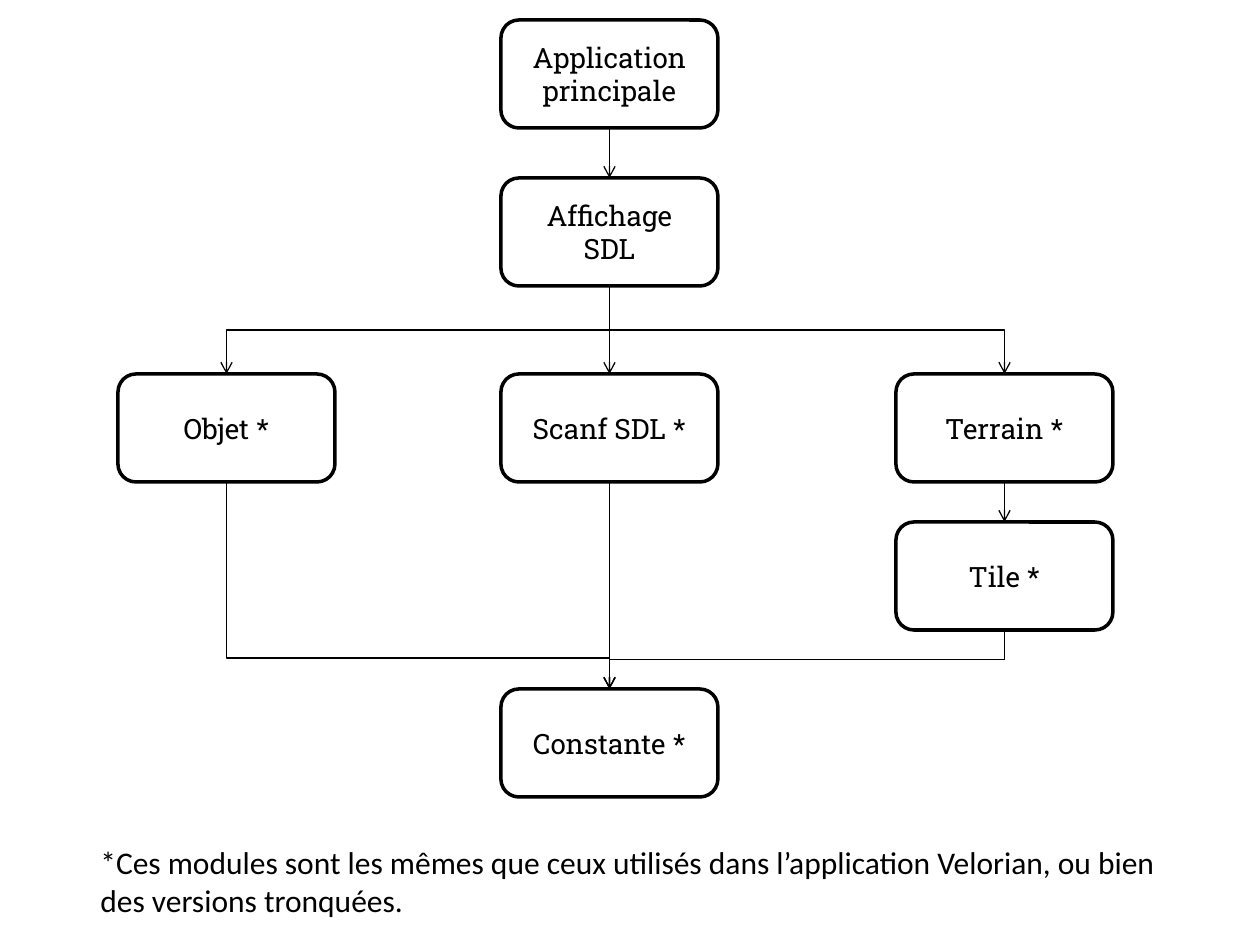
"""Builds a slide with the module dependency chart of an application."""
import pptx
import pptx.util
import pptx.dml.color
import pptx.enum.shapes
import pptx.enum.text
import pptx.oxml

PX = 914400 // 126
BLACK = pptx.dml.color.RGBColor(0, 0, 0)
WHITE = pptx.dml.color.RGBColor(255, 255, 255)
WIDE, HIGH = 217, 108
LEFT, MID, RIGHT = 118, 501, 896
TOP, BOTTOM = 0, 2
NS = 'xmlns:a="http://schemas.openxmlformats.org/drawingml/2006/main"'
ALIGN = pptx.enum.text.PP_ALIGN
LINK = pptx.enum.shapes.MSO_CONNECTOR

deck = pptx.Presentation()
deck.slide_width = pptx.util.Inches(10)
deck.slide_height = pptx.util.Inches(7.5)
slide = deck.slides.add_slide(deck.slide_layouts[6])


def write(frame, text, font="Calibri", size=18, align=ALIGN.LEFT,
          anchor=pptx.enum.text.MSO_ANCHOR.TOP):
    frame.word_wrap = True
    frame.vertical_anchor = anchor
    para = frame.paragraphs[0]
    para.alignment = align
    run = para.add_run()
    run.text = text
    run.font.name = font
    run.font.size = pptx.util.Pt(size)
    run.font.color.rgb = BLACK


def join(start, end, bend=0.5):
    kind = LINK.STRAIGHT if start.left == end.left else LINK.ELBOW
    line = slide.shapes.add_connector(kind, 0, 0, 0, 0)
    line.begin_connect(start, BOTTOM)
    line.end_connect(end, TOP)
    line.line.color.rgb = BLACK
    line.line.width = pptx.util.Pt(0.75)
    props = line._element.spPr
    if kind == LINK.ELBOW:
        across = end.left - start.left
        down = end.top - start.top - start.height
        x = (line.begin_x + line.end_x) // 2
        y = (line.begin_y + line.end_y) // 2
        form = props.find(pptx.oxml.ns.qn("a:xfrm"))
        for name in ("flipH", "flipV"):
            form.attrib.pop(name, None)
        form.set("rot", "16200000" if across > 0 else "5400000")
        if across > 0:
            form.set("flipH", "1")
        line.left, line.top = x - down // 2, y - abs(across) // 2
        line.width, line.height = down, abs(across)
        guide = props.find(pptx.oxml.ns.qn("a:prstGeom")).get_or_add_avLst()
        guide.append(pptx.oxml.parse_xml(
            f'<a:gd {NS} name="adj1" fmla="val {round(bend * 100000)}"/>'))
    line.line._get_or_add_ln().append(
        pptx.oxml.parse_xml(f'<a:tailEnd {NS} type="arrow"/>'))
    props.append(pptx.oxml.parse_xml(f'<a:effectLst {NS}/>'))


boxes = {}
for name, text, x, y in (
    ("main", "Application principale", MID, 20),
    ("view", "Affichage SDL", MID, 178),
    ("object", "Objet *", LEFT, 374),
    ("scan", "Scanf SDL *", MID, 374),
    ("ground", "Terrain *", RIGHT, 374),
    ("tile", "Tile *", RIGHT, 522),
    ("const", "Constante *", MID, 689),
):
    box = slide.shapes.add_shape(
        pptx.enum.shapes.MSO_SHAPE.ROUNDED_RECTANGLE,
        x * PX, y * PX, WIDE * PX, HIGH * PX)
    box.shadow.inherit = False
    box.fill.solid()
    box.fill.fore_color.rgb = WHITE
    box.line.color.rgb = BLACK
    box.line.width = pptx.util.Pt(2)
    write(box.text_frame, text, font="Roboto Slab", size=16,
          align=ALIGN.CENTER, anchor=pptx.enum.text.MSO_ANCHOR.MIDDLE)
    boxes[name] = box

for start, end, bend in (
    ("main", "view", 0.5),
    ("view", "object", 0.5),
    ("view", "scan", 0.5),
    ("view", "ground", 0.5),
    ("ground", "tile", 0.5),
    ("object", "const", 0.85),
    ("tile", "const", 0.5),
    ("scan", "const", 0.5),
):
    join(boxes[start], boxes[end], bend)

note = slide.shapes.add_textbox(88 * PX, 837 * PX, 1102 * PX, 89 * PX)
write(note.text_frame, "*Ces modules sont les mêmes que ceux utilisés dans "
      "l’application Velorian, ou bien des versions tronquées.")
note.text_frame.auto_size = pptx.enum.text.MSO_AUTO_SIZE.SHAPE_TO_FIT_TEXT

deck.save("out.pptx")
